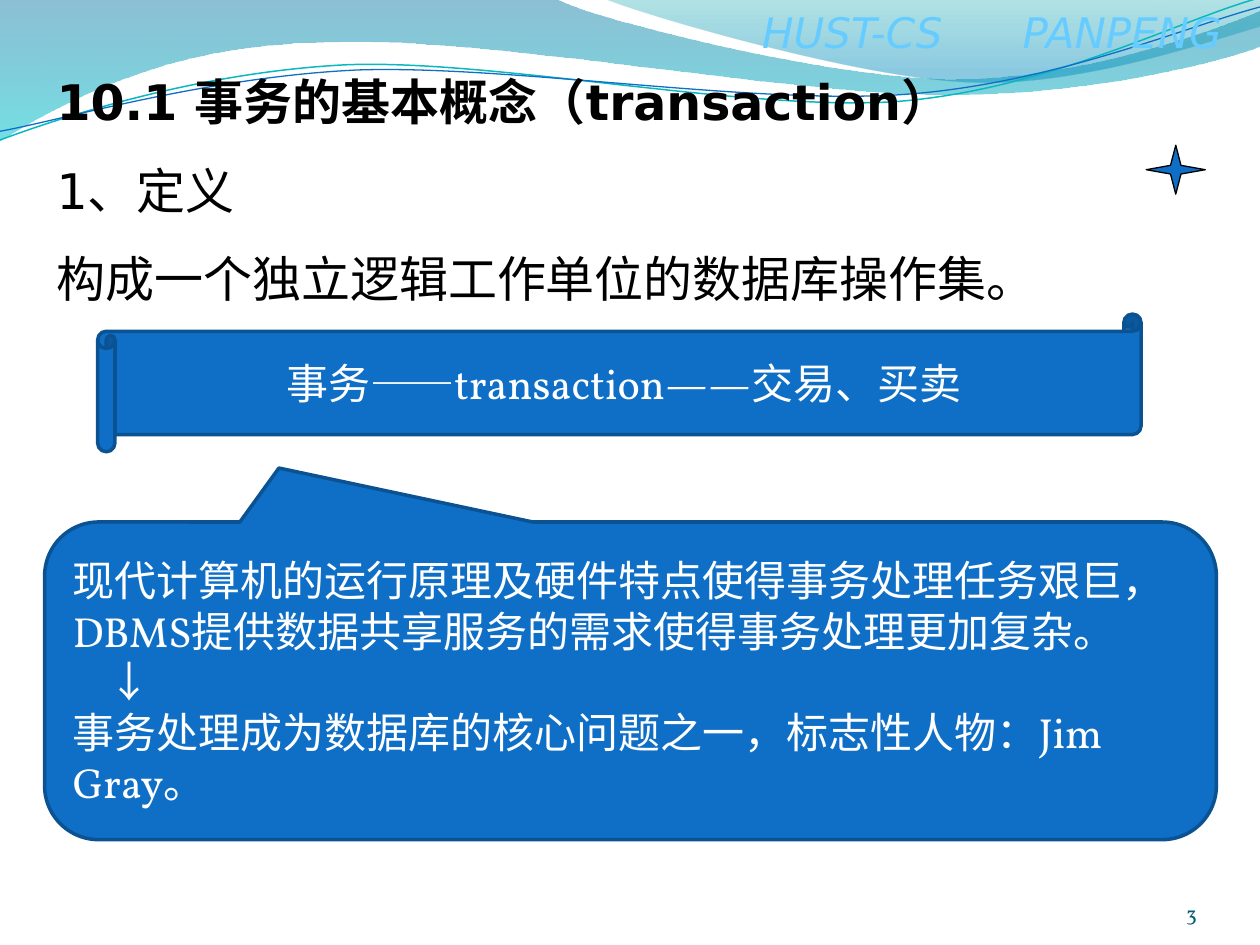
from dataclasses import dataclass

from lxml import etree
from pptx import Presentation
from pptx.dml.color import RGBColor
from pptx.enum.shapes import MSO_SHAPE
from pptx.enum.text import MSO_ANCHOR, MSO_AUTO_SIZE, PP_ALIGN
from pptx.oxml.ns import qn
from pptx.util import Pt

LEFT, CENTER, RIGHT = PP_ALIGN.LEFT, PP_ALIGN.CENTER, PP_ALIGN.RIGHT
TOP, MIDDLE, BOTTOM = MSO_ANCHOR.TOP, MSO_ANCHOR.MIDDLE, MSO_ANCHOR.BOTTOM
NO_AUTOSIZE = MSO_AUTO_SIZE.NONE
STAR = MSO_SHAPE.STAR_4_POINT
SCROLL = MSO_SHAPE.HORIZONTAL_SCROLL
CALLOUT = MSO_SHAPE.ROUNDED_RECTANGULAR_CALLOUT

SANS, SERIF, BODY, CJK = "DejaVu Sans", "Times New Roman", "Vollkorn", "Noto Sans CJK SC"
BLUE, DARK_BLUE, BLACK, WHITE = "0F6FC6", "0B5292", "000000", "FFFFFF"


@dataclass
class Wave:
    """A segment of one point is a line, one of three points a Bezier curve."""
    start: tuple
    segments: list
    stops: tuple = ()  # (position, colour, opacity in percent)
    line: str = ""
    weight: float = 0


WAVES = [
    Wave((0, -1), [
        [(317, -1)], [(343, 12), (478, 45), (546, 45)], [(614, 45), (690, 19), (720, 6)],
        [(721, 26)], [(708, 32), (626, 55), (537, 54)], [(448, 54), (275, 20), (185, 24)],
        [(93, 25), (33, 60), (-1, 81)]],
        stops=((0, "0074A1", 45), (1, "00C6CF", 55))),
    Wave((345, -1), [
        [(366, 8), (491, 45), (554, 47)], [(616, 50), (692, 23), (720, 15)], [(720, 0)]],
        stops=((0, "00A1A9", 30), (0.8, "008BBF", 45))),
    Wave((0, 80), [
        [(35, 67), (114, 41), (199, 37)], [(284, 34), (427, 64), (513, 58)],
        [(600, 51), (675, 11), (719, -1)]], line="0AB8BF", weight=0.85),
    Wave((0, 75), [
        [(34, 69), (118, 44), (204, 40)], [(290, 37), (430, 60), (516, 54)],
        [(602, 48), (678, 15), (720, 4)]], line=BLUE, weight=0.75),
]


def rgb(colour: str) -> RGBColor:
    return RGBColor.from_string(colour)


def bend_lines(shape, segments: list) -> None:
    """Turn each run of three straight segments into one Bezier curve."""
    lines = iter(list(shape._element.spPr.iter(qn("a:lnTo"))))
    for segment in segments:
        parts = [next(lines) for _ in segment]
        if len(parts) == 3:
            curve = etree.Element(qn("a:cubicBezTo"))
            parts[0].addprevious(curve)
            for part in parts:
                curve.append(part[0])
                part.getparent().remove(part)


def draw_wave(slide, wave: Wave) -> None:
    points = [point for segment in wave.segments for point in segment]
    builder = slide.shapes.build_freeform(*wave.start, scale=float(Pt(1)))
    builder.add_line_segments(points, close=bool(wave.stops))
    shape = builder.convert_to_shape()
    bend_lines(shape, wave.segments)
    shape.shadow.inherit = False
    if not wave.stops:
        shape.fill.background()
        shape.line.color.rgb = rgb(wave.line)
        shape.line.width = Pt(wave.weight)
        return
    shape.line.fill.background()
    shape.fill.gradient()
    shape.fill.gradient_angle = 270
    for stop, (position, colour, _) in zip(shape.fill.gradient_stops, wave.stops):
        stop.position = position
        stop.color.rgb = rgb(colour)
    colours = shape._element.spPr.iter(qn("a:srgbClr"))
    for element, (_, _, opacity) in zip(colours, wave.stops):
        etree.SubElement(element, qn("a:alpha")).set("val", str(opacity * 1000))


def set_frame(frame, anchor=TOP, inset=None) -> None:
    frame.word_wrap = True
    frame.auto_size = NO_AUTOSIZE
    frame.vertical_anchor = anchor
    if inset is not None:
        frame.margin_left = frame.margin_right = Pt(inset)
        frame.margin_top = frame.margin_bottom = Pt(inset)


def write(frame, text, *, size, colour, font=BODY, bold=False, italic=False,
          align=LEFT, spacing=1.0, indent=0, tracking=0, same_line=False) -> None:
    """Add text as a new paragraph, or to the last one if same_line is set."""
    paragraph = frame.paragraphs[-1]
    if paragraph.runs and not same_line:
        paragraph = frame.add_paragraph()
    if not same_line:
        paragraph.alignment = align
        paragraph.line_spacing = spacing
        paragraph.space_before = paragraph.space_after = Pt(0)
        if indent:
            paragraph._p.get_or_add_pPr().set("marL", str(Pt(indent)))
    run = paragraph.add_run()
    run.text = text
    run.font.size = Pt(size)
    run.font.name = font
    run.font.bold = bold
    run.font.italic = italic
    run.font.color.rgb = rgb(colour)
    properties = run._r.get_or_add_rPr()
    etree.SubElement(properties, qn("a:ea"), typeface=CJK)
    if tracking:
        properties.set("spc", str(tracking * 100))


def add_text_frame(slide, left, top, width, height, **frame_format):
    box = slide.shapes.add_textbox(Pt(left), Pt(top), Pt(width), Pt(height))
    set_frame(box.text_frame, **frame_format)
    return box.text_frame


def add_blue_shape(slide, kind, left, top, width, height, line, weight, adjustments=()):
    shape = slide.shapes.add_shape(kind, Pt(left), Pt(top), Pt(width), Pt(height))
    shape.shadow.inherit = False
    shape.fill.solid()
    shape.fill.fore_color.rgb = rgb(BLUE)
    shape.line.color.rgb = rgb(line)
    shape.line.width = Pt(weight)
    for index, value in enumerate(adjustments):
        shape.adjustments[index] = value
    set_frame(shape.text_frame, anchor=MIDDLE)
    return shape.text_frame


def place_title(slide, left, top, width, height):
    """Position the title and bring it in front of the waves."""
    title = slide.shapes.title
    title.left, title.top = Pt(left), Pt(top)
    title.width, title.height = Pt(width), Pt(height)
    slide.shapes._spTree.append(title._element)
    set_frame(title.text_frame)
    return title.text_frame


def main() -> None:
    deck = Presentation()
    deck.slide_width, deck.slide_height = Pt(720), Pt(540)
    slide = deck.slides.add_slide(deck.slide_layouts[5])

    for wave in WAVES:
        draw_wave(slide, wave)
    header = add_text_frame(slide, 428.4, 0, 291.6, 36)
    header_format = dict(size=24, colour="66CCFF", font=SANS, italic=True)
    write(header, "HUST-CS", **header_format)
    write(header, " ", tracking=38, same_line=True, **header_format)
    write(header, "PANPENG", same_line=True, **header_format)

    heading_format = dict(size=28, colour=BLACK, spacing=1.5)
    heading = place_title(slide, 25.2, 20.7, 680.4, 153.4)
    write(heading, "10.1 事务的基本概念（transaction）", font=SANS, bold=True, **heading_format)
    write(heading, "1", font=SANS, **heading_format)
    write(heading, "、定义", font=SERIF, same_line=True, **heading_format)
    write(heading, "构成一个独立逻辑工作单位的数据库操作集。", font=SERIF, **heading_format)

    add_blue_shape(slide, STAR, 655, 83, 33.8, 28, BLACK, 0.75, [0.125])
    page_number = add_text_frame(slide, 624, 500.4, 60, 28.8, anchor=BOTTOM, inset=0)
    write(page_number, "3", size=12, colour="045D75", align=RIGHT)

    white_text = dict(size=24, colour=WHITE)
    banner = add_blue_shape(slide, SCROLL, 55.8, 179.5, 596.2, 78.7, DARK_BLUE, 2)
    write(banner, "事务——transaction——交易、买卖", align=CENTER, **white_text)
    remark = add_blue_shape(slide, CALLOUT, 25.5, 298.3, 669.6, 181.5, DARK_BLUE, 2,
                            [-0.3, -0.67, 0.17])
    write(remark, "现代计算机的运行原理及硬件特点使得事务处理任务艰巨，"
                  "DBMS提供数据共享服务的需求使得事务处理更加复杂。", **white_text)
    write(remark, "↓", font=CJK, indent=20.7, **white_text)
    write(remark, "事务处理成为数据库的核心问题之一，标志性人物：Jim Gray。", **white_text)

    deck.save("out.pptx")


if __name__ == "__main__":
    main()
